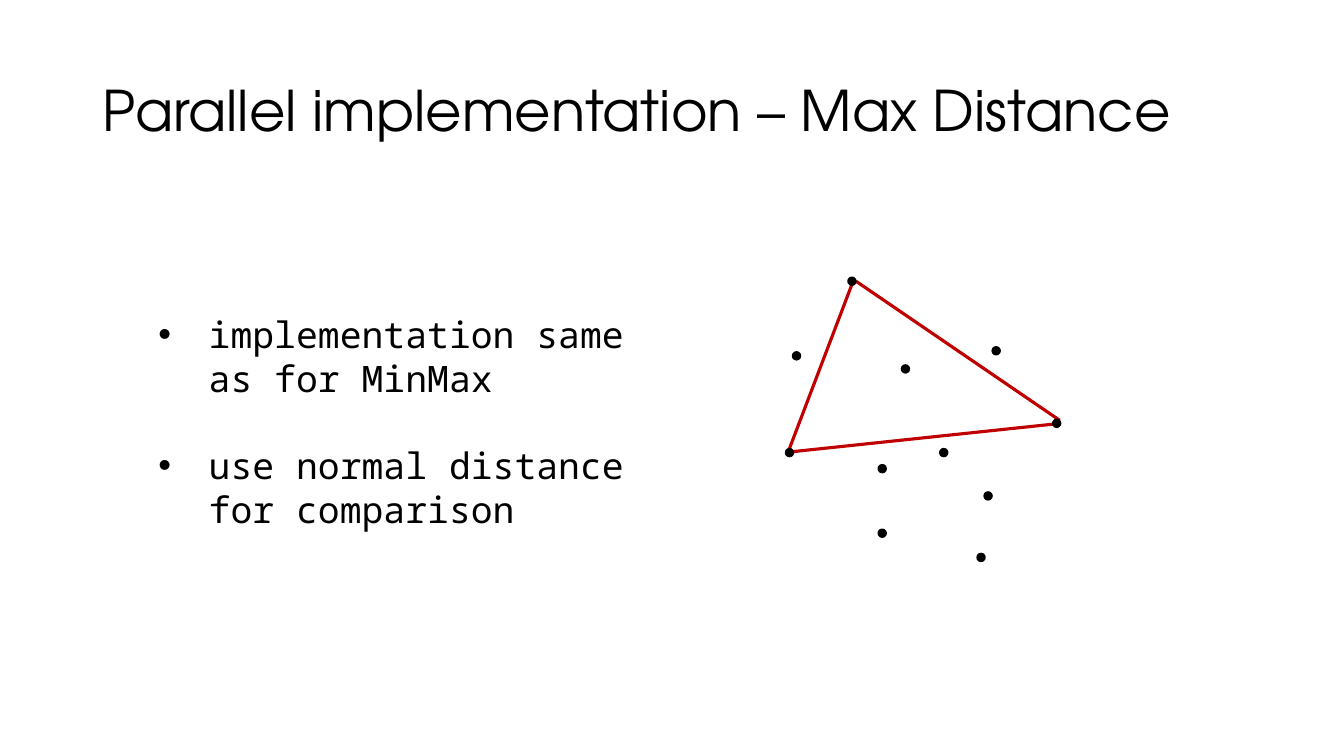
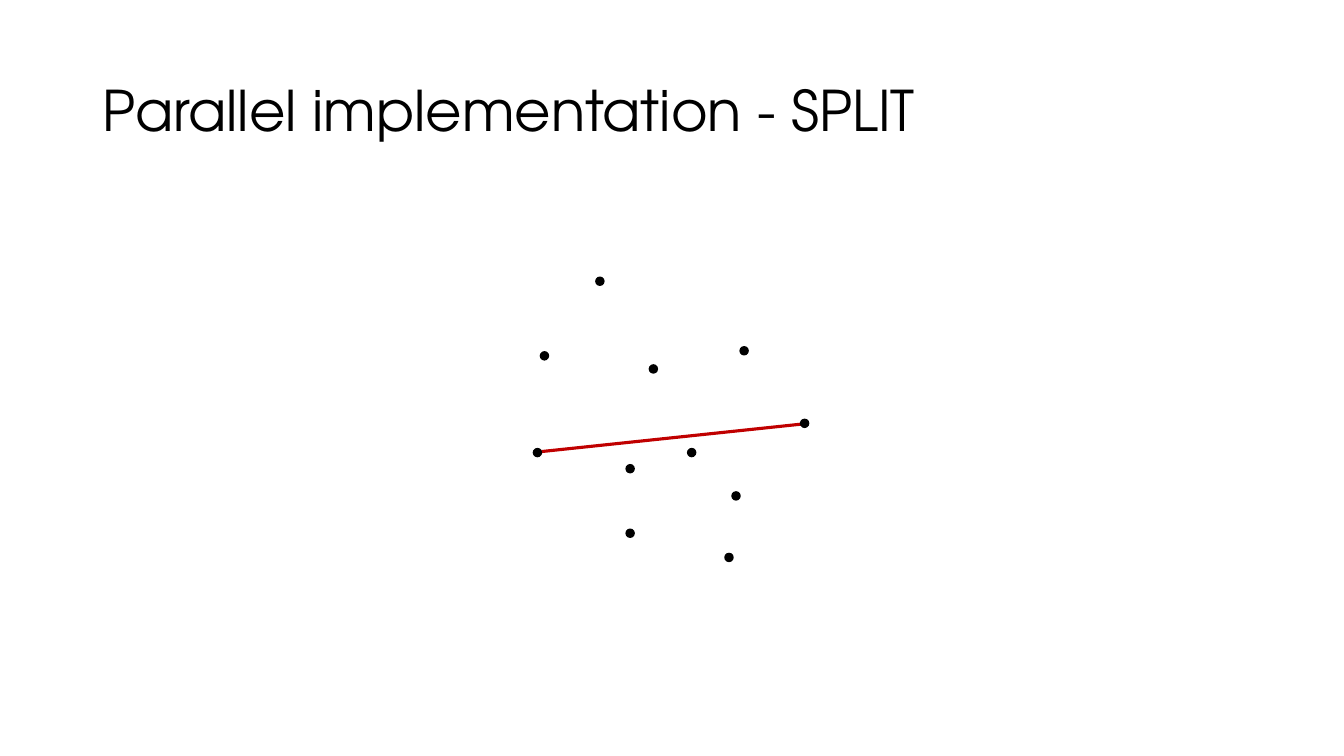
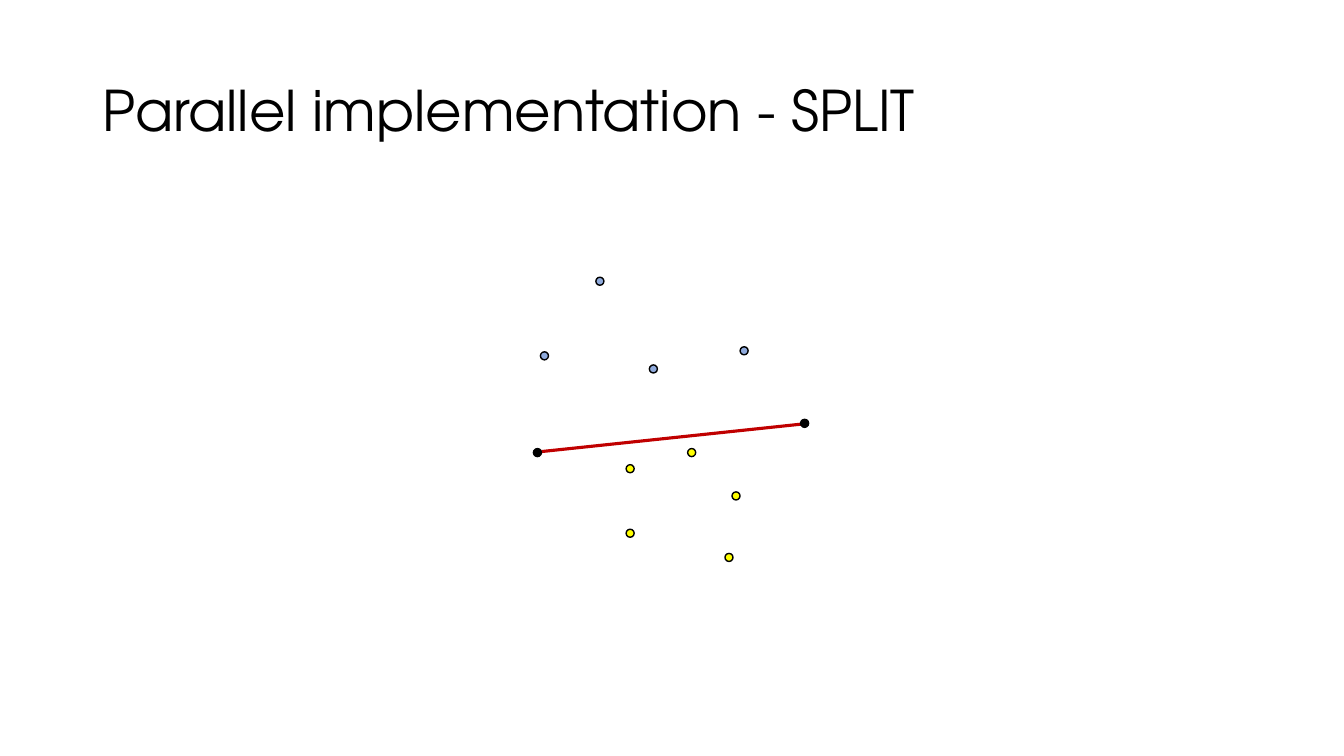
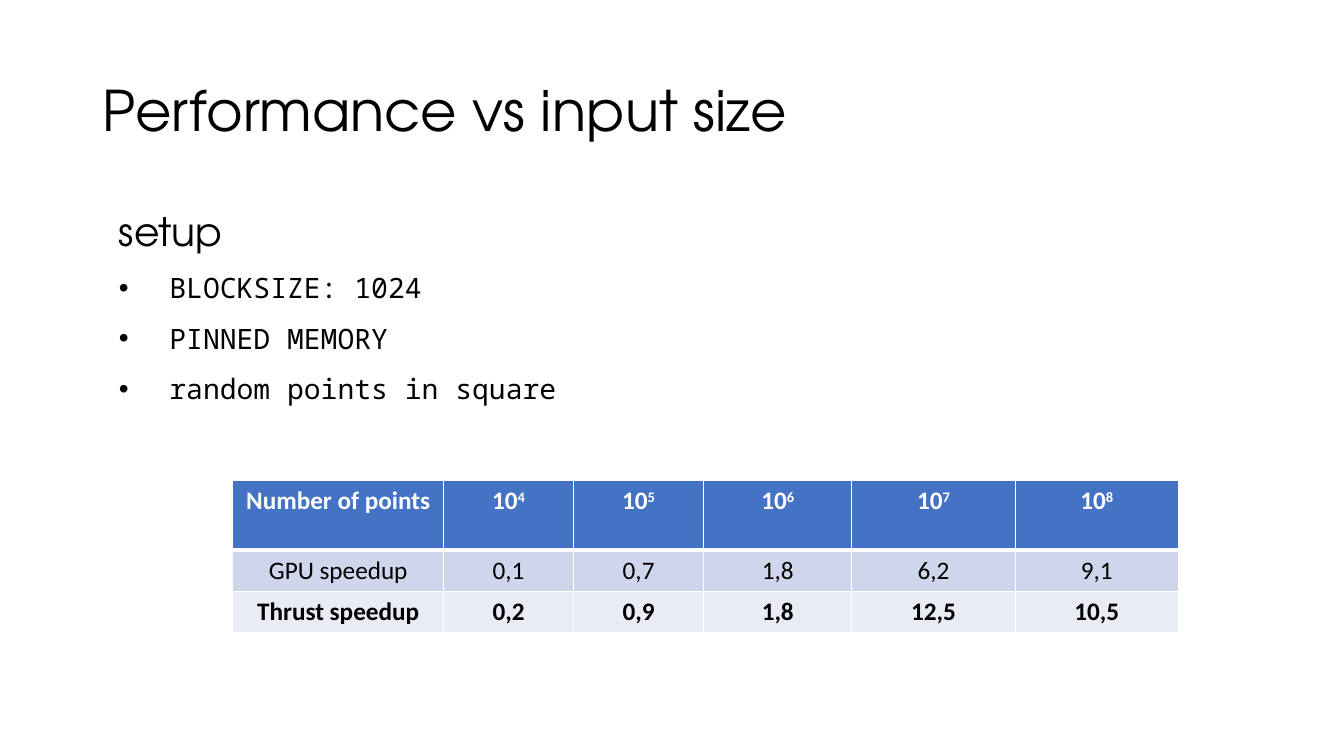
from dataclasses import dataclass

from lxml.etree import SubElement
from pptx import Presentation
from pptx.dml.color import RGBColor
from pptx.enum.shapes import MSO_CONNECTOR, MSO_SHAPE
from pptx.enum.text import MSO_ANCHOR, MSO_AUTO_SIZE, PP_ALIGN
from pptx.oxml.ns import qn
from pptx.util import Pt

PX = 9144


@dataclass(frozen=True)
class Theme:
    black: RGBColor = RGBColor.from_string("000000")
    white: RGBColor = RGBColor.from_string("FFFFFF")
    red: RGBColor = RGBColor.from_string("C00000")
    blue: RGBColor = RGBColor.from_string("8FAADC")
    yellow: RGBColor = RGBColor.from_string("FFFF00")
    header: RGBColor = RGBColor.from_string("4472C4")
    band_dark: RGBColor = RGBColor.from_string("CFD5EA")
    band_light: RGBColor = RGBColor.from_string("E9EBF5")
    head_font: str = "TeX Gyre Adventor"
    mono_font: str = "Noto Sans Mono"
    table_font: str = "Calibri"
    title_size: int = 40
    subhead_size: int = 28
    list_size: int = 26
    setup_size: int = 20
    table_size: int = 18


T = Theme()


def add_run(p, text, font, size, color=T.black, bold=False):
    r = p.add_run()
    r.text = text
    r.font.name = font
    r.font.size = Pt(size)
    r.font.bold = bold
    r.font.color.rgb = color
    return r


def place(sp, box, anchor):
    sp.left, sp.top, sp.width, sp.height = [v * PX for v in box]
    tf = sp.text_frame
    tf.word_wrap = True
    tf.auto_size = MSO_AUTO_SIZE.NONE
    tf.vertical_anchor = anchor
    return tf


prs = Presentation()
prs.slide_width, prs.slide_height = 1333 * PX, 750 * PX
content, title_only = prs.slide_layouts[1], prs.slide_layouts[5]

slides = []
for title, layout in [
    ("Parallel implementation – Max Distance", content),
    ("Parallel implementation - SPLIT", title_only),
    ("Parallel implementation - SPLIT", title_only),
    ("Performance vs input size", content),
]:
    s = prs.slides.add_slide(layout)
    p = place(s.shapes.title, (92, 40, 1150, 145), MSO_ANCHOR.MIDDLE).paragraphs[0]
    p.alignment = PP_ALIGN.LEFT
    p.line_spacing = 0.9
    add_run(p, title, T.head_font, T.title_size)
    slides.append(s)

above = [(536, 349), (644, 362), (591, 275), (734, 344)]
ends = [(529, 445), (794, 416)]
below = [(682, 445), (726, 488), (621, 461), (621, 525), (719, 549)]
base_line = (537, 448, 802, 420)
triangle = [base_line, (533, 445, 595, 282), (801, 417, 599, 279)]

for s, dx, lines, above_fill, below_fill in [
    (slides[0], 250, triangle, T.black, T.black),
    (slides[1], 0, [base_line], T.black, T.black),
    (slides[2], 0, [base_line], T.blue, T.yellow),
]:
    for x1, y1, x2, y2 in lines:
        cx = s.shapes.add_connector(
            MSO_CONNECTOR.STRAIGHT, (x1 + dx) * PX, y1 * PX, (x2 + dx) * PX, y2 * PX
        )
        cx.line.color.rgb = T.red
        cx.line.width = Pt(2.25)
        SubElement(cx._element.spPr, qn("a:effectLst"))
    for dots, fill in [(above, above_fill), (ends, T.black), (below, below_fill)]:
        for x, y in dots:
            sp = s.shapes.add_shape(MSO_SHAPE.OVAL, (x + dx) * PX, y * PX, 8 * PX, 8 * PX)
            sp.shadow.inherit = False
            sp.fill.solid()
            sp.fill.fore_color.rgb = fill
            sp.line.color.rgb = T.black
            sp.line.width = Pt(1)

max_items = [
    ("implementation same as for MinMax", T.mono_font, T.list_size, True),
    ("use normal distance for comparison", T.mono_font, T.list_size, True),
]
setup_items = [
    ("setup", T.head_font, T.subhead_size, False),
    ("BLOCKSIZE: 1024", T.mono_font, T.setup_size, True),
    ("PINNED MEMORY", T.mono_font, T.setup_size, True),
    ("random points in square", T.mono_font, T.setup_size, True),
]
for s, box, anchor, items, spacing, gap in [
    (slides[0], (147, 305, 495, 259), MSO_ANCHOR.TOP, max_items, 1.0, 31),
    (slides[3], (108, 165, 517, 242), MSO_ANCHOR.BOTTOM, setup_items, 1.5, 0),
]:
    tf = place(s.placeholders[1], box, anchor)
    for i, (text, font, size, bullet) in enumerate(items):
        p = tf.add_paragraph() if i else tf.paragraphs[0]
        pPr = p._p.get_or_add_pPr()
        pPr.set("marL", str(50 * PX if bullet else 0))
        pPr.set("indent", str(-50 * PX if bullet else 0))
        if bullet:
            SubElement(pPr, qn("a:buFont"), typeface="Arial")
            SubElement(pPr, qn("a:buChar"), char="•")
        else:
            SubElement(pPr, qn("a:buNone"))
        p.alignment = PP_ALIGN.LEFT
        p.line_spacing = spacing
        p.space_before = Pt(gap if i else 0)
        add_run(p, text, font, size)

rows = [
    ("Number of points", "4", "5", "6", "7", "8"),
    ("GPU speedup", "0,1", "0,7", "1,8", "6,2", "9,1"),
    ("Thrust speedup", "0,2", "0,9", "1,8", "12,5", "10,5"),
]
row_styles = [
    (69, T.header, T.white, True),
    (41, T.band_dark, T.black, False),
    (41, T.band_light, T.black, True),
]
widths = [209, 129, 129, 147, 162, 162]
table = slides[3].shapes.add_table(
    len(rows), len(widths), 231 * PX, 477 * PX, sum(widths) * PX, 151 * PX
).table
for col, width in zip(table.columns, widths):
    col.width = width * PX
for i, (row, (height, fill, color, bold)) in enumerate(zip(rows, row_styles)):
    table.rows[i].height = height * PX
    for j, text in enumerate(row):
        cell = table.cell(i, j)
        tcPr = cell._tc.get_or_add_tcPr()
        for side in ("L", "R", "T", "B"):
            thick = (i, side) in ((0, "B"), (1, "T"))
            ln = SubElement(tcPr, qn("a:ln" + side), w=str(Pt(3 if thick else 1)))
            SubElement(SubElement(ln, qn("a:solidFill")), qn("a:srgbClr"), val=str(T.white))
        cell.fill.solid()
        cell.fill.fore_color.rgb = fill
        p = cell.text_frame.paragraphs[0]
        p.alignment = PP_ALIGN.CENTER
        power = i == 0 and j > 0
        if power:
            add_run(p, "10", T.table_font, T.table_size, color, bold)
        r = add_run(p, text, T.table_font, T.table_size, color, bold)
        if power:
            r._r.get_or_add_rPr().set("baseline", "30000")

prs.save("out.pptx")
